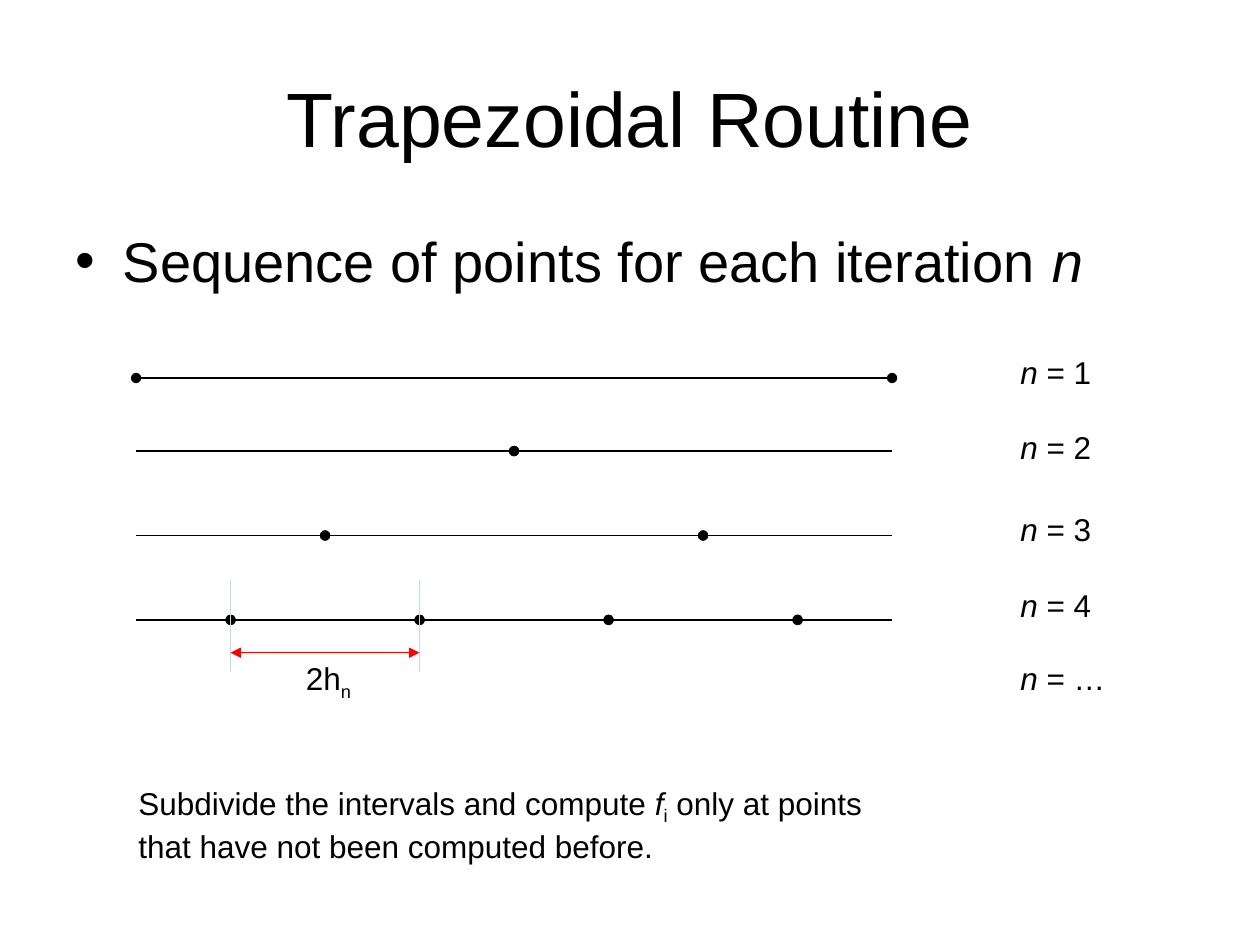
from lxml.etree import SubElement
from pptx import Presentation
from pptx.dml.color import RGBColor
from pptx.enum.shapes import MSO_CONNECTOR
from pptx.enum.text import MSO_ANCHOR, PP_ALIGN
from pptx.oxml.ns import qn
from pptx.util import Inches, Pt

BLACK = RGBColor(0x00, 0x00, 0x00)
RED = RGBColor(0xFF, 0x00, 0x00)
PALE_TEAL = RGBColor(0xBB, 0xE0, 0xE3)
FONT = "Arial"
SUBSCRIPT = "-25000"


def set_attrs(obj, values):
    for name, value in values.items():
        setattr(obj, name, value)


def place(sp, box):
    names = ("left", "top", "width", "height")
    set_attrs(sp, dict(zip(names, (Inches(v) for v in box))))


def add_runs(p, runs, size):
    for text, style in runs:
        r = p.add_run()
        r.text = text
        set_attrs(r.font, {"name": FONT, "size": Pt(size), "italic": style == "italic"})
        r.font.color.rgb = BLACK
        if style == "sub":
            r.font._element.set("baseline", SUBSCRIPT)


def add_text(s, box, runs):
    sp = s.shapes.add_textbox(*(Inches(v) for v in box))
    sp.text_frame.word_wrap = True
    add_runs(sp.text_frame.paragraphs[0], runs, 18)


def add_line(s, start, end, color, width, head=None, tail=None):
    line = s.shapes.add_connector(
        MSO_CONNECTOR.STRAIGHT, *(Inches(v) for v in (*start, *end)))
    line.line.color.rgb = color
    line.line.width = Pt(width)
    for tag, kind in (("a:headEnd", head), ("a:tailEnd", tail)):
        if kind:
            SubElement(line.line._get_or_add_ln(), qn(tag), type=kind)
    SubElement(line._element.spPr, qn("a:effectLst"))


def add_title(s, box):
    sp = s.shapes.title
    place(sp, box)
    tf = sp.text_frame
    tf.vertical_anchor = MSO_ANCHOR.MIDDLE
    p = tf.paragraphs[0]
    p.alignment = PP_ALIGN.CENTER
    add_runs(p, [("Trapezoidal Routine", None)], 44)


def add_body(s, box):
    sp = s.placeholders[1]
    place(sp, box)
    runs = [("Sequence of points for each iteration ", None), ("n", "italic")]
    add_runs(sp.text_frame.paragraphs[0], runs, 32)


def new_points(n, left, width):
    if n == 1:
        return [left, left + width]
    count = 2 ** (n - 2)
    return [left + width * (2 * i + 1) / (2 * count) for i in range(count)]


def add_iterations(s, left, width, rows):
    for n, y in enumerate(rows, start=1):
        points = new_points(n, left, width)
        stops = sorted({left, left + width, *points})
        for x1, x2 in zip(stops, stops[1:]):
            add_line(s, (x1, y), (x2, y), BLACK, 0.75,
                     "oval" if x1 in points else None,
                     "oval" if x2 in points else None)


def add_labels(s, left, width, tops):
    for value, top in zip(("1", "2", "3", "4", "…"), tops):
        add_text(s, (left, top, width, 0.4), [("n", "italic"), (f" = {value}", None)])


def add_spacing(s, left, top, width, height):
    right = left + width
    arrow_y = top + 0.58
    for x in (left, right):
        add_line(s, (x, top), (x, top + height), PALE_TEAL, 0.5)
    add_line(s, (left, arrow_y), (right, arrow_y), RED, 0.5, "triangle", "triangle")
    add_text(s, (left + 0.5, arrow_y, 0.58, 0.4), [("2h", None), ("n", "sub")])


def add_note(s, box):
    add_text(s, box, [
        ("Subdivide the intervals and compute ", None),
        ("f", "italic"),
        ("i", "sub"),
        (" only at points that have not been computed before.", None),
    ])


def main():
    prs = Presentation()
    prs.slide_width, prs.slide_height = Inches(10), Inches(7.5)
    s = prs.slides.add_slide(prs.slide_layouts[1])
    add_title(s, (0.5, 0.3, 9, 1.25))
    add_body(s, (0.5, 1.75, 9, 4.95))
    add_iterations(s, 1.08, 6, (3, 3.58, 4.25, 4.92))
    add_labels(s, 8, 1.17, (2.75, 3.35, 4, 4.6, 5.18))
    add_spacing(s, 1.83, 4.6, 1.5, 0.73)
    add_note(s, (1, 6.17, 6, 0.7))
    prs.save("out.pptx")


if __name__ == "__main__":
    main()
